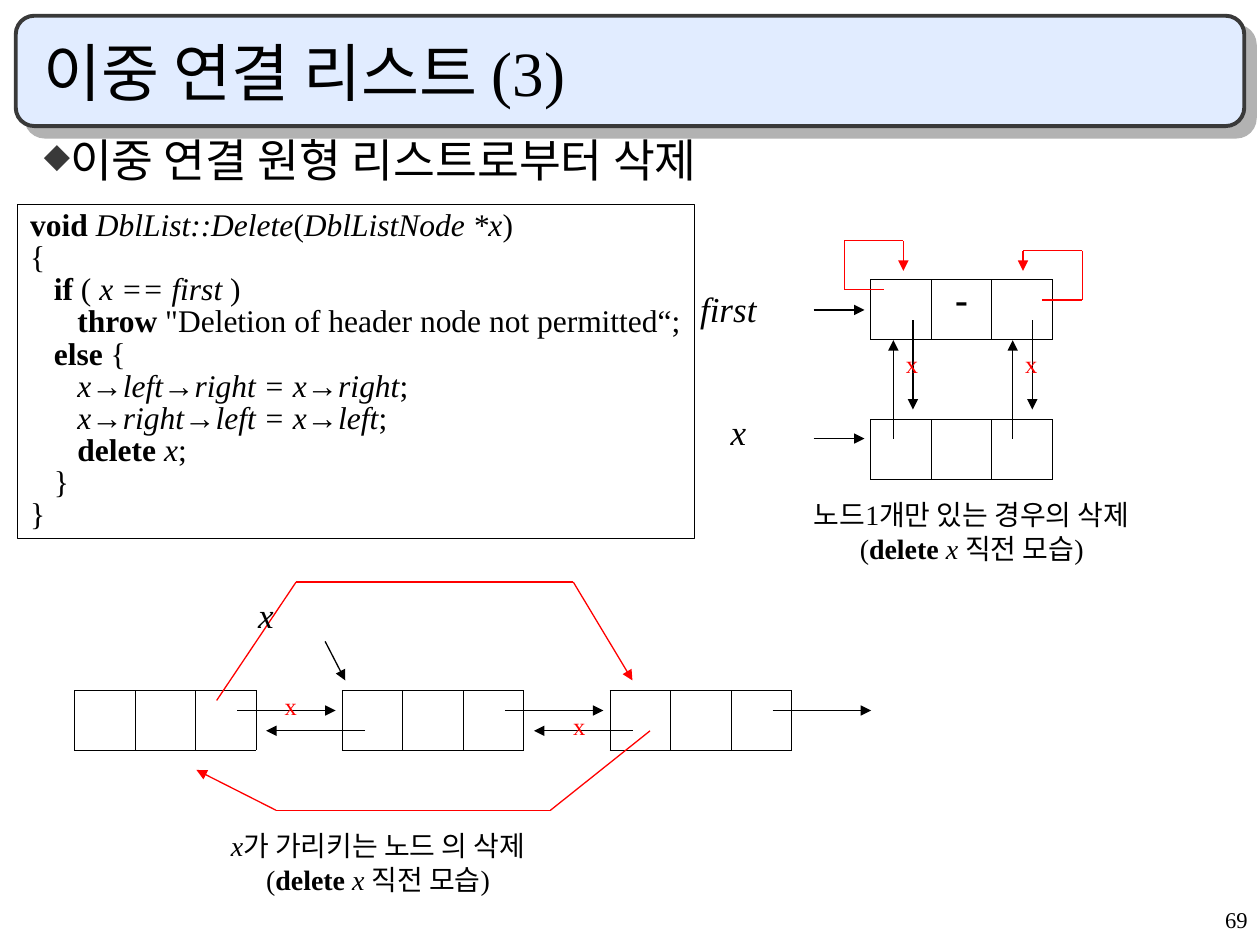
import pptx
import pptx.dml.color
import pptx.enum.shapes
import pptx.enum.text
import pptx.oxml
import pptx.oxml.ns
import pptx.util

Pt = pptx.util.Pt
ALIGN = pptx.enum.text.PP_ALIGN
ANCHOR = pptx.enum.text.MSO_ANCHOR
SHAPE = pptx.enum.shapes.MSO_SHAPE
FONT = "Times New Roman"
BLACK, RED, DARK = "000000", "FF0000", "393939"
NS = pptx.oxml.ns.nsdecls("a")

TITLE = "이중 연결 리스트 (3)"
HEADING = "이중 연결 원형 리스트로부터 삭제"
# Each paragraph is a list of (text, style); b is bold and i is italic.
CODE = [
    [("void ", "b"), ("DblList::Delete", "i"), ("(", ""), ("DblListNode *x", "i"), (")", "")],
    [("{", "")],
    [("   ", ""), ("if", "b"), (" ( ", ""), ("x == first", "i"), (" )", "")],
    [("      ", ""), ("throw", "b"), (' "Deletion of header node not permitted“;', "")],
    [("   ", ""), ("else", "b"), (" {", "")],
    [("      ", ""), ("x→left→right = x→right", "i"), (";", "")],
    [("      ", ""), ("x→right→left = x→left", "i"), (";", "")],
    [("      ", ""), ("delete ", "b"), ("x", "i"), (";", "")],
    [("   }", "")],
    [("}", "")],
]
BEFORE_DELETE = [("(", ""), ("delete ", "b"), ("x ", "i"), ("직전 모습)", "")]
CAPTIONS = [
    ((121, 470, 190, 46), [[("x", "i"), ("가 가리키는 노드 의 삭제", "")], BEFORE_DELETE]),
    ((453, 281, 204.5, 46), [[("노드1개만 있는 경우의 삭제", "")], BEFORE_DELETE]),
]
POINTER_LABELS = [("x", 140.4, 340), ("x", 410.4, 235.5), ("first", 393, 165.6)]

CELL_WIDTH, CELL_HEIGHT = 34.6, 34
CHAIN_LEFT, CHAIN_TOP, CHAIN_STEP = 42.5, 394.6, 153
PAIR_LEFT, HEADER_TOP, NODE_TOP = 497.5, 159.8, 239.8
LINK_LEFT, LINK_STEP = 510.5, 68.2
CUT_MARKS = [(320.4, 406), (155.5, 394.6), (LINK_LEFT, 199.4), (LINK_LEFT + LINK_STEP, 199.4)]
RED_ROUTES = [
    [(123.8, 400.3), (169.2, 332.6), (327.6, 332.6), (361.4, 388.8)],
    [(371.5, 417.6), (314.6, 463), (157.7, 463), (112.3, 440)],
    [(595.4, 171.4), (618.5, 171.4), (618.5, 143.3), (584.6, 143.3), (584.6, 154.8)],
    [(505, 165.6), (482.4, 165.6), (482.4, 137.5), (516.2, 137.5), (516.2, 154.8)],
]
BLACK_ARROWS = [
    ((185.8, 366.5), (197.3, 388.8)),
    ((465, 177.1), (494, 177.1)),
    ((465, 250.6), (494, 250.6)),
]
for node in range(3):
    left = CHAIN_LEFT + node * CHAIN_STEP
    BLACK_ARROWS.append(((left + 93, 406), (left + 149.3, 406)))
    if node:
        BLACK_ARROWS.append(((left + 13.2, 417.6), (left - 43.4, 417.6)))
for link in range(2):
    left = LINK_LEFT + link * LINK_STEP
    BLACK_ARROWS.append(((left, 250.6), (left, 194.4)))
    BLACK_ARROWS.append(((left + 11.2, 182.9), (left + 11.2, 234)))


def color(value):
    return pptx.dml.color.RGBColor.from_string(value)


def add_xml(parent, markup):
    parent.append(pptx.oxml.parse_xml(markup))


def set_format(target, values):
    for name, value in values.items():
        setattr(target, name, value)


def write(frame, paragraphs, size, ink=BLACK, **layout):
    """Fill a text frame with paragraphs of styled spans."""
    for index, spans in enumerate(paragraphs):
        para = frame.add_paragraph() if index else frame.paragraphs[0]
        set_format(para, layout)
        for text, style in spans:
            span = para.add_run()
            span.text = text
            set_format(span.font, {"name": FONT, "size": Pt(size),
                                   "bold": "b" in style, "italic": "i" in style})
            span.font.color.rgb = color(ink)


def add_text(page, place, paragraphs, size, ink=BLACK, wrap=True, anchor=ANCHOR.TOP, **layout):
    box = page.shapes.add_textbox(*map(Pt, place))
    set_format(box.text_frame, {"word_wrap": wrap, "vertical_anchor": anchor})
    write(box.text_frame, paragraphs, size, ink, **layout)
    return box


def add_node(page, left, top, middle=""):
    """Draw a list node as a row of three bordered cells."""
    frame = page.shapes.add_table(1, 3, Pt(left), Pt(top), Pt(3 * CELL_WIDTH), Pt(CELL_HEIGHT))
    table = frame.table
    set_format(table, {"first_row": False, "horz_banding": False})
    table.rows[0].height = Pt(CELL_HEIGHT)
    for column in table.columns:
        column.width = Pt(CELL_WIDTH)
    for cell in table.iter_cells():
        properties = cell._tc.get_or_add_tcPr()
        for side in ("lnL", "lnR", "lnT", "lnB"):
            add_xml(properties, f'<a:{side} {NS} w="{Pt(0.45)}"><a:solidFill>'
                                f'<a:srgbClr val="{BLACK}"/></a:solidFill></a:{side}>')
        cell.fill.background()
    if middle:
        write(table.cell(0, 1).text_frame, [[(middle, "b")]], 22,
              alignment=ALIGN.CENTER, line_spacing=0.8)


def add_route(page, points, ink):
    """Join the points by straight lines and put an arrowhead at the end."""
    for start, end in zip(points, points[1:]):
        line = page.shapes.add_connector(
            pptx.enum.shapes.MSO_CONNECTOR.STRAIGHT, *map(Pt, start + end))
        line.line.width = Pt(0.75)
        line.line.color.rgb = color(ink)
        add_xml(line._element.spPr, f"<a:effectLst {NS}/>")
    add_xml(line.line._get_or_add_ln(), f'<a:tailEnd {NS} type="triangle"/>')


def add_title(page):
    banner = page.shapes.add_shape(SHAPE.ROUNDED_RECTANGLE, Pt(9), Pt(9), Pt(702), Pt(63))
    banner.shadow.inherit = False
    banner.fill.solid()
    banner.fill.fore_color.rgb = color("E1ECFF")
    banner.line.color.rgb = color(DARK)
    banner.line.width = Pt(2.25)
    effects = banner._element.spPr.find(pptx.oxml.ns.qn("a:effectLst"))
    add_xml(effects, f'<a:outerShdw {NS} dist="{Pt(8.5)}" dir="2700000" algn="ctr" '
                     'rotWithShape="0"><a:srgbClr val="B2B2B2"/></a:outerShdw>')
    add_text(page, (18, 18, 678, 48), [[(TITLE, "")]], 36, anchor=ANCHOR.BOTTOM)


def add_heading(page):
    box = add_text(page, (18, 78, 678, 40), [[(HEADING, "")]], 26, line_spacing=0.8)
    properties = box.text_frame.paragraphs[0]._p.get_or_add_pPr()
    set_format(properties, {"marL": Pt(27), "indent": Pt(-27)})
    for bullet in (f'<a:buClr {NS}><a:srgbClr val="{DARK}"/></a:buClr>',
                   f'<a:buSzPct {NS} val="75000"/>', f'<a:buChar {NS} char="◆"/>'):
        add_xml(properties, bullet)


def main():
    deck = pptx.Presentation()
    deck.slide_width, deck.slide_height = Pt(720), Pt(540)
    page = deck.slides.add_slide(deck.slide_layouts[6])

    add_title(page)
    add_heading(page)
    code = add_text(page, (10.2, 116.9, 386.6, 191), CODE, 18, wrap=False, line_spacing=0.85)
    code.line.color.rgb = color(BLACK)
    code.line.width = Pt(0.75)

    for index in range(3):
        add_node(page, CHAIN_LEFT + index * CHAIN_STEP, CHAIN_TOP)
    add_node(page, PAIR_LEFT, HEADER_TOP, "-")
    add_node(page, PAIR_LEFT, NODE_TOP)

    for points in BLACK_ARROWS:
        add_route(page, points, BLACK)
    for points in RED_ROUTES:
        add_route(page, points, RED)

    for label, left, top in POINTER_LABELS:
        add_text(page, (left, top, 77, 26.6), [[(label, "i")]], 20, line_spacing=0.8)
    for left, top in CUT_MARKS:
        add_text(page, (left, top, 29.5, 21), [[("x", "")]], 14, RED, line_spacing=0.8)
    for place, paragraphs in CAPTIONS:
        add_text(page, place, paragraphs, 16, wrap=False, alignment=ALIGN.CENTER)
    add_text(page, (570, 516, 150, 24), [[("69", "")]], 12.9,
             alignment=ALIGN.RIGHT, line_spacing=0.9)
    deck.save("out.pptx")


if __name__ == "__main__":
    main()
